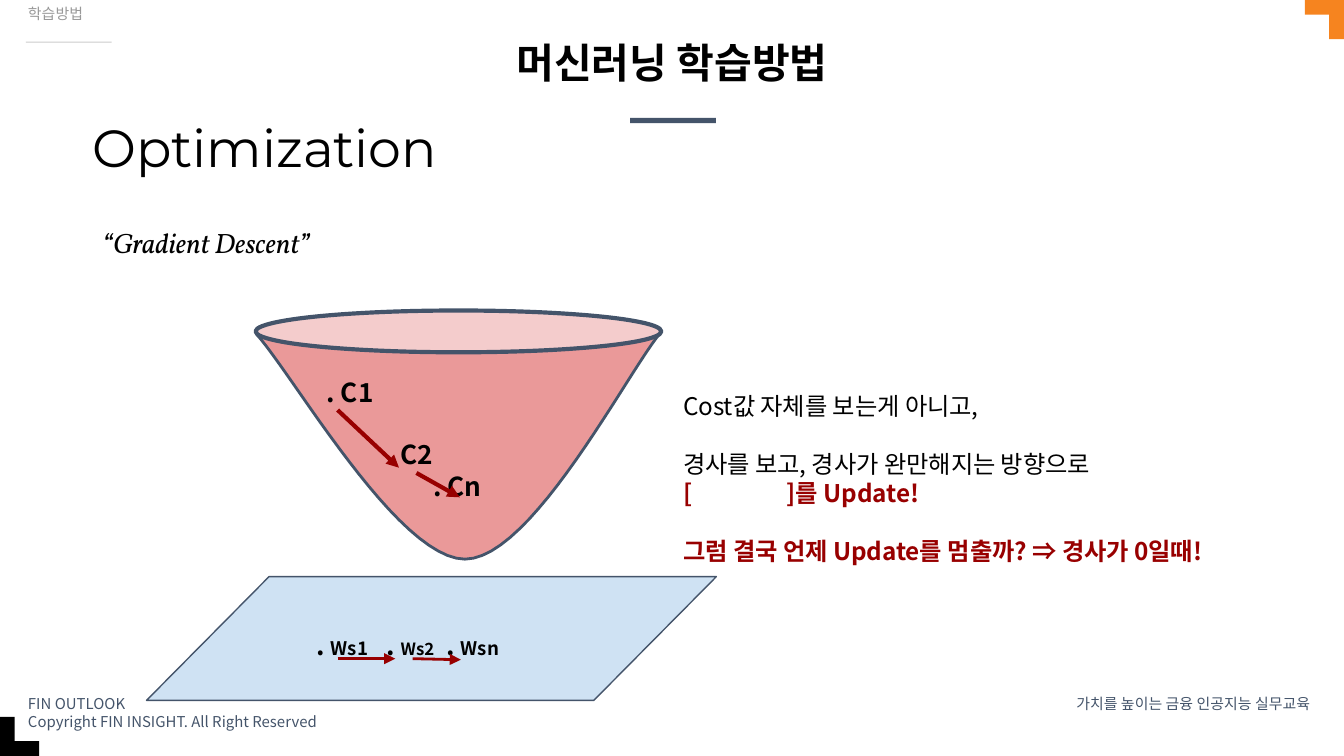
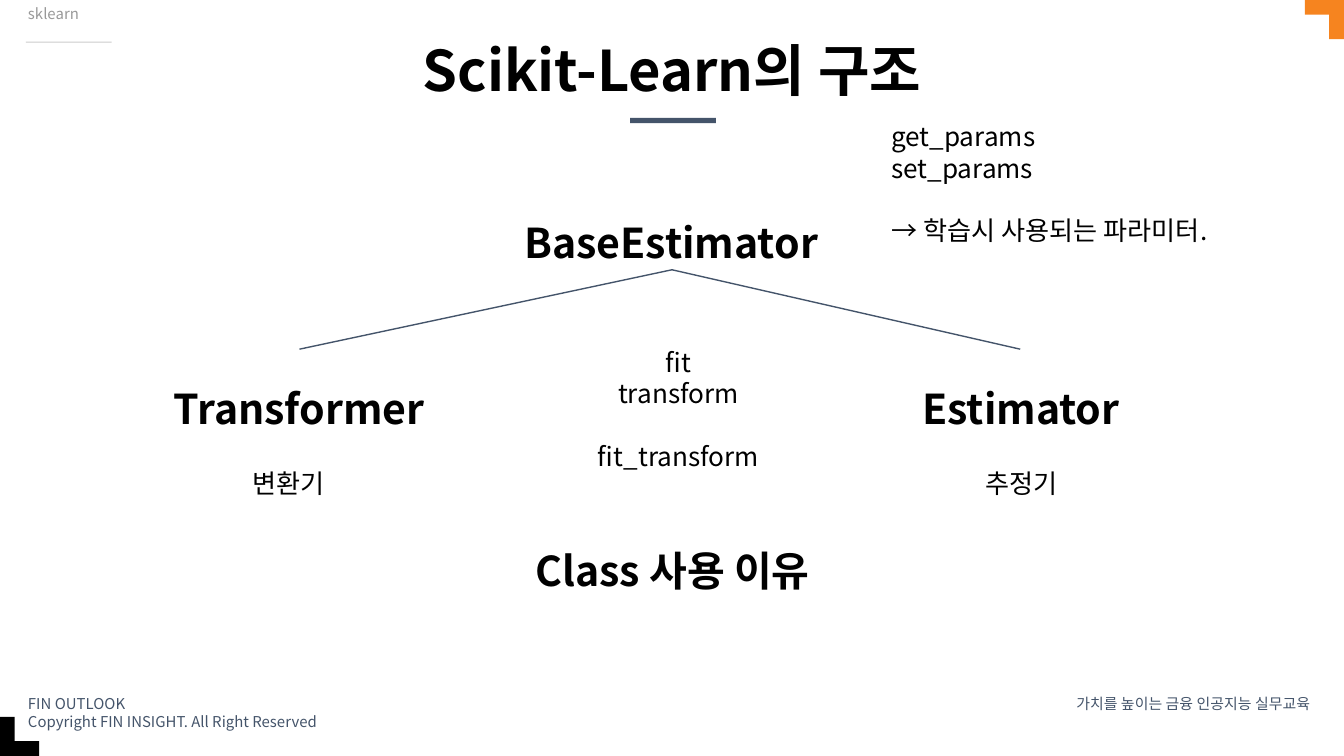
"""Build two machine-learning lecture slides: gradient descent and Scikit-Learn structure."""
from lxml import etree
from pptx import Presentation
from pptx import util as u
from pptx.dml.color import RGBColor
from pptx.enum import shapes, text
from pptx.oxml.ns import qn

COLORS = {
    "ink": "000000", "slate": "44546A", "grey": "999999", "rule": "CCCCCC",
    "orange": "F6841F", "cone": "EA9999", "rim": "F4CCCC", "plane": "CFE2F3",
    "red": "980000",
}
SANS = "Noto Sans CJK KR"
WIDTH, HEIGHT = 25.4, 14.29
CENTER, RIGHT = text.PP_ALIGN.CENTER, text.PP_ALIGN.RIGHT
TIGHT, MEDIUM, FOOTER, ROOMY = (0.1, 0.05), (0.18, 0.1), (0.25, 0.13), (0.25, 0.25)


def rgb(name):
    """Return the named colour."""
    return RGBColor.from_string(COLORS[name])


def add_run(paragraph, words, font, size, color, bold, italic):
    """Append a run in a font that also covers Korean."""
    run = paragraph.add_run()
    run.text = words
    run.font.name = font
    etree.SubElement(run.font._element, qn("a:ea"), typeface=font)
    run.font.size = u.Pt(size)
    run.font.bold = bold
    run.font.italic = italic
    run.font.color.rgb = rgb(color)


def add_tabs(paragraph, stops):
    """Give a paragraph left tab stops."""
    tabs = etree.SubElement(paragraph._p.get_or_add_pPr(), qn("a:tabLst"))
    for stop in stops:
        etree.SubElement(tabs, qn("a:tab"), pos=str(int(u.Cm(stop))), algn="l")


def write(slide, box, *lines, size=14, color="ink", font=SANS, bold=False, italic=False,
          align=None, spacing=None, inset=MEDIUM, anchor=text.MSO_ANCHOR.TOP):
    """Write lines in a box; a line is a string or a dict with its own format."""
    frame = slide.shapes.add_textbox(*map(u.Cm, box)).text_frame
    frame.word_wrap = True
    frame.vertical_anchor = anchor
    frame.margin_left = frame.margin_right = u.Cm(inset[0])
    frame.margin_top = frame.margin_bottom = u.Cm(inset[1])
    for number, line in enumerate(lines):
        if isinstance(line, str):
            line = {"words": line}
        paragraph = frame.paragraphs[0] if number == 0 else frame.add_paragraph()
        if "tabs" in line:
            add_tabs(paragraph, line["tabs"])
        if "indent" in line:
            paragraph._p.get_or_add_pPr().set("marL", str(int(u.Cm(line["indent"]))))
        if "before" in line:
            paragraph.space_before = u.Pt(line["before"])
        if align is not None:
            paragraph.alignment = align
        if spacing is not None:
            paragraph.line_spacing = spacing
        for words, run_size in line.get("runs") or [(line["words"], size)]:
            add_run(paragraph, words, font, run_size, line.get("color", color),
                    line.get("bold", bold), italic)


def paint(shape, fill, line_width=None):
    """Fill a shape and outline it in slate when a width is given."""
    shape.shadow.inherit = False
    shape.fill.solid()
    shape.fill.fore_color.rgb = rgb(fill)
    if line_width is None:
        shape.line.fill.background()
    else:
        shape.line.color.rgb = rgb("slate")
        shape.line.width = u.Pt(line_width)
    return shape


def add_figure(slide, kind, box, fill, line_width=None):
    """Add a painted preset shape."""
    return paint(slide.shapes.add_shape(kind, *map(u.Cm, box)), fill, line_width)


def add_line(slide, start, end, color, width, arrow=False):
    """Draw a straight line, with an arrowhead at its end on request."""
    line = slide.shapes.add_connector(
        shapes.MSO_CONNECTOR.STRAIGHT, *map(u.Cm, (*start, *end)))
    line.line.color.rgb = rgb(color)
    line.line.width = u.Pt(width)
    if arrow:
        etree.SubElement(line.line._get_or_add_ln(), qn("a:tailEnd"), type="triangle")
    etree.SubElement(line._element.spPr, qn("a:effectLst"))


def bezier(points, steps=24):
    """Return points along a cubic curve, after its start."""
    curve = []
    for step in range(1, steps + 1):
        t = step / steps
        weights = ((1 - t) ** 3, 3 * t * (1 - t) ** 2, 3 * t * t * (1 - t), t ** 3)
        curve.append(tuple(
            int(u.Cm(sum(w * p[axis] for w, p in zip(weights, points)))) for axis in (0, 1)))
    return curve


def add_cone(slide):
    """Draw the bowl of the cost surface."""
    left, bottom, right = (4.85, 6.32), (8.79, 10.57), (12.5, 6.27)
    outline = slide.shapes.build_freeform(*map(u.Cm, left))
    outline.add_line_segments(
        bezier((left, (5.51, 7.04), (7.52, 10.57), bottom))
        + bezier((bottom, (10.06, 10.57), (11.89, 6.98), right)), close=False)
    paint(outline.convert_to_shape(), "cone", 1.5)


def add_corner(slide, right, bottom, color):
    """Draw an L-shaped mark in a corner of the slide."""
    long, thin = 0.74, 0.28
    for width, height in ((long, thin), (thin, long)):
        add_figure(slide, shapes.MSO_SHAPE.RECTANGLE,
                   (right * (WIDTH - width), bottom * (HEIGHT - height), width, height), color)


def add_page(deck, title, topic, title_size):
    """Add a slide with the shared bands, footers, title and topic."""
    slide = deck.slides.add_slide(deck.slide_layouts[6])
    add_figure(slide, shapes.MSO_SHAPE.RECTANGLE, (11.91, 2.23, 1.62, 0.1), "slate")
    add_figure(slide, shapes.MSO_SHAPE.RECTANGLE, (0.49, 0.79, 1.62, 0.02), "rule")
    write(slide, (0.28, 13, 7.57, 0.69), "FIN OUTLOOK",
          "Copyright FIN INSIGHT. All Right Reserved", size=8, color="slate", inset=FOOTER)
    write(slide, (19.71, 13, 5.31, 0.43), "가치를 높이는 금융 인공지능 실무교육",
          size=8, color="slate", align=RIGHT, inset=FOOTER)
    add_corner(slide, 0, 1, "ink")
    add_corner(slide, 1, 0, "orange")
    write(slide, (2.77, 0.76, 19.86, 1.02), title, size=title_size, bold=True,
          align=CENTER, spacing=0.9, inset=TIGHT)
    write(slide, (0.28, 0, 7.21, 1.02), topic, size=8, color="grey", spacing=0.9, inset=FOOTER)
    return slide


def add_descent(deck):
    """Build the gradient descent slide."""
    slide = add_page(deck, "머신러닝 학습방법", "학습방법", 22)
    write(slide, (1.75, 3.84, 20.04, 1.04), "“Gradient Descent”",
          size=15, font="Vollkorn", italic=True, spacing=1.5)
    write(slide, (1.57, 2.41, 19.48, 1.42), "Optimization", size=28, font="Montserrat",
          align=text.PP_ALIGN.JUSTIFY, spacing=0.7)
    add_cone(slide)
    write(slide, (5.99, 7.01, 4.9, 5.21), ". C1",
          {"words": ". C2", "indent": 1.13, "before": 16.7},
          {"words": ". Cn", "indent": 2.02}, bold=True)
    plane = add_figure(slide, shapes.MSO_SHAPE.PARALLELOGRAM,
                       (2.77, 10.9, 10.77, 2.34), "plane", 0.75)
    plane.adjustments[0] = 0.99
    add_figure(slide, shapes.MSO_SHAPE.OVAL, (4.83, 5.87, 7.67, 0.79), "rim", 2.25)
    write(slide, (5.8, 11.79, 5.32, 1.14),
          {"runs": [(". ", 14), ("Ws1", 10), ("\t. ", 14), ("Ws2", 9), ("\t. ", 14), ("Wsn", 10)],
           "tabs": (1.32, 2.46)}, bold=True)
    for start, end, width in (
            ((6.38, 7.75), (7.54, 8.84), 2.25), ((7.87, 8.94), (8.69, 9.4), 2.25),
            ((6.38, 12.45), (7.47, 12.45), 1.5), ((7.8, 12.45), (8.71, 12.47), 1.5)):
        add_line(slide, start, end, "red", width, arrow=True)
    key = {"color": "red", "bold": True}
    write(slide, (12.73, 7.29, 11.63, 0.71), "Cost값 자체를 보는게 아니고,",
          {"words": "경사를 보고, 경사가 완만해지는 방향으로", "before": 15.5},
          {"words": "[\t]를 Update!", "tabs": (1.96,), **key},
          {"words": "그럼 결국 언제 Update를 멈출까? ⇒ 경사가 0일때!", "before": 15.5, **key},
          size=13)


def add_structure(deck):
    """Build the Scikit-Learn class structure slide."""
    slide = add_page(deck, "Scikit-Learn의 구조", "sklearn", 30)
    for name, left, top in (("BaseEstimator", 7.92, 3.45), ("Estimator", 14.53, 6.6),
                            ("Transformer", 0.89, 6.6)):
        write(slide, (left, top, 9.53, 1.65), name, size=22, bold=True, align=CENTER,
              spacing=0.9, inset=TIGHT, anchor=text.MSO_ANCHOR.BOTTOM)
    for child in (19.28, 5.66):
        add_line(slide, (12.7, 5.1), (child, 6.6), "slate", 0.75)
    write(slide, (16.59, 2.03, 6.71, 2.82), "get_params", "set_params",
          {"words": "→ 학습시 사용되는 파라미터.", "before": 16.7}, inset=ROOMY)
    for meaning, left in (("변환기", 3.4), ("추정기", 17.25)):
        write(slide, (left, 8.59, 4.11, 1.22), meaning, align=CENTER, inset=ROOMY)
    write(slide, (9.7, 10.06, 6.02, 2.82), "Class 사용 이유", size=22, bold=True,
          align=CENTER, inset=ROOMY)
    write(slide, (8.66, 6.3, 8.33, 2.54), "fit", "transform",
          {"words": "fit_transform", "before": 16.7}, align=CENTER, inset=ROOMY)


def main():
    """Build and save the deck."""
    deck = Presentation()
    deck.slide_width, deck.slide_height = u.Cm(WIDTH), u.Cm(HEIGHT)
    add_descent(deck)
    add_structure(deck)
    deck.save("out.pptx")


if __name__ == "__main__":
    main()
